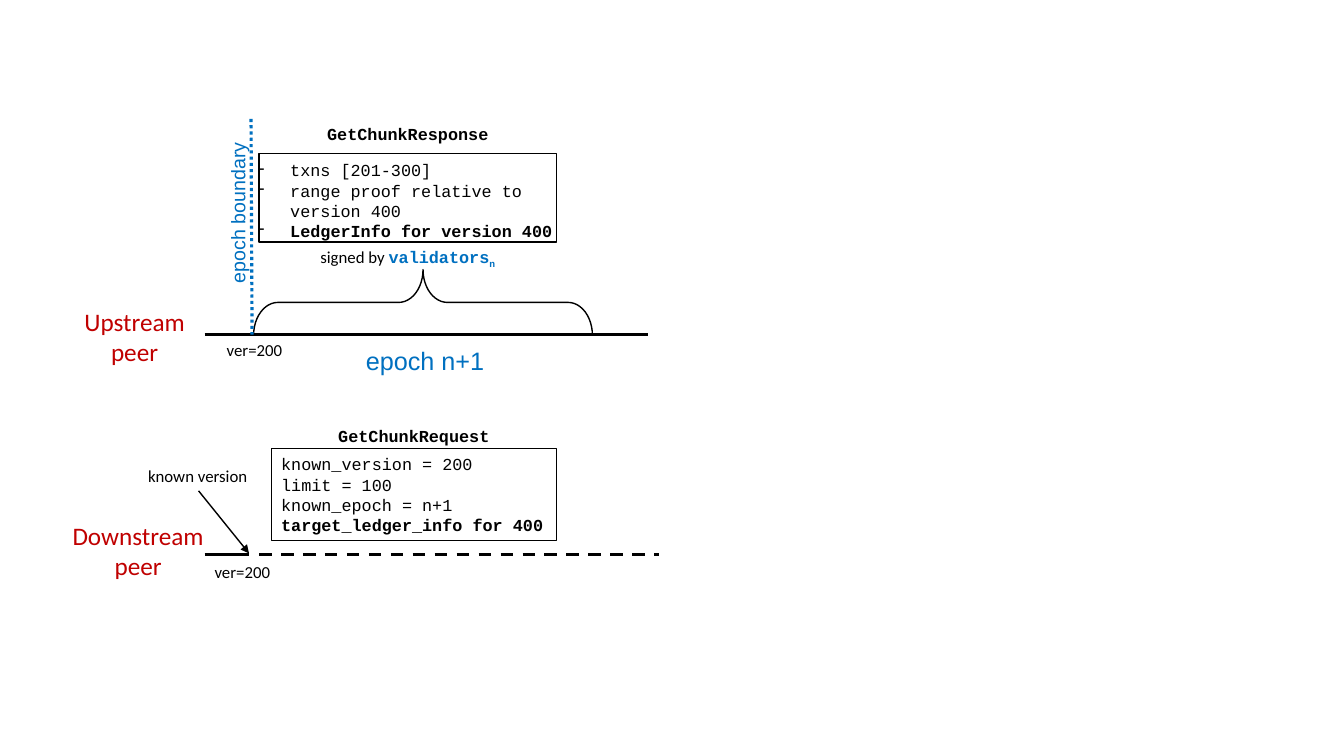
"""Build the slide showing a chunk request and response between two peers."""
from lxml.etree import SubElement
from pptx import Presentation
from pptx.dml.color import RGBColor
from pptx.enum.dml import MSO_LINE
from pptx.enum.shapes import MSO_CONNECTOR, MSO_SHAPE
from pptx.enum.text import MSO_ANCHOR, MSO_AUTO_SIZE, PP_ALIGN
from pptx.oxml.ns import qn
from pptx.util import Inches, Pt

COLORS = {"black": "000000", "blue": "0070C0", "red": "C00000"}
MONO, SANS, ARIAL = "Courier New", "Calibri", "Arial"

prs = Presentation()
prs.slide_width, prs.slide_height = Inches(13.33), Inches(7.5)
s = prs.slides.add_slide(prs.slide_layouts[6])


def write(sp, paragraphs, size=12, align=PP_ALIGN.LEFT, wrap=False):
    tf = sp.text_frame
    tf.word_wrap = wrap
    tf.auto_size = MSO_AUTO_SIZE.SHAPE_TO_FIT_TEXT
    for i, runs in enumerate(paragraphs):
        p = tf.paragraphs[0] if i == 0 else tf.add_paragraph()
        p.alignment = align
        for text, font, color, bold in runs:
            r = p.add_run()
            r.text = text
            r.font.name, r.font.size, r.font.bold = font, Pt(size), bold
            r.font.color.rgb = RGBColor.from_string(COLORS[color])
    return tf


def add_line(x1, y1, x2, y2, color="black", width=2.25, dash=None):
    ln = s.shapes.add_connector(MSO_CONNECTOR.STRAIGHT, Inches(x1), Inches(y1), Inches(x2), Inches(y2))
    ln.line.color.rgb = RGBColor.from_string(COLORS[color])
    ln.line.width = Pt(width)
    if dash:
        ln.line.dash_style = dash
    SubElement(ln._element.spPr, qn("a:effectLst"))
    return ln


outlines = []
for kind, box in [
    (MSO_SHAPE.RECTANGLE, (2.57, 1.52, 2.95, 0.88)),
    (MSO_SHAPE.RECTANGLE, (2.69, 4.45, 2.83, 0.91)),
    (MSO_SHAPE.LEFT_BRACE, (3.87, 1.32, 0.65, 3.36)),
]:
    sp = s.shapes.add_shape(kind, *map(Inches, box))
    sp.shadow.inherit = False
    sp.fill.background()
    sp.line.color.rgb = RGBColor.from_string(COLORS["black"])
    sp.line.width = Pt(1)
    outlines.append(sp)
response, request, brace = outlines
brace.rotation = 90
brace.adjustments[0] = 0.371

fields = ["known_version = 200", "limit = 100", "known_epoch = n+1"]
tf = write(request, [[(t, MONO, "black", False)] for t in fields]
           + [[("target_ledger_info for 400", MONO, "black", True)]], wrap=True)
tf.vertical_anchor = MSO_ANCHOR.MIDDLE

add_line(2.03, 3.32, 6.43, 3.32)
add_line(2.49, 1.18, 2.5, 3.32, "blue", dash=MSO_LINE.ROUND_DOT)
add_line(2.57, 5.5, 6.54, 5.5, dash=MSO_LINE.DASH)
add_line(2.03, 5.5, 2.47, 5.5)
arrow = add_line(1.97, 4.87, 2.47, 5.49, width=1)
SubElement(arrow.line._get_or_add_ln(), qn("a:tailEnd"), type="triangle")

LEFT, CENTER = PP_ALIGN.LEFT, PP_ALIGN.CENTER
for box, lines, font, size, color, bold, align, rotation in [
    ((3.13, 1.18, 1.83, 0.3), ["GetChunkResponse"], MONO, 12, "black", True, CENTER, 0),
    ((3.24, 4.17, 1.73, 0.3), ["GetChunkRequest"], MONO, 12, "black", True, CENTER, 0),
    ((3.53, 3.38, 1.39, 0.4), ["epoch n+1"], ARIAL, 18, "blue", False, LEFT, 0),
    ((1.56, 1.94, 1.6, 0.34), ["epoch boundary"], ARIAL, 14, "blue", False, LEFT, 270),
    ((1.37, 4.57, 1.2, 0.3), ["known version"], SANS, 12, "black", False, LEFT, 0),
    ((2.03, 5.52, 0.76, 0.3), ["ver=200"], SANS, 12, "black", False, LEFT, 0),
    ((2.15, 3.32, 0.76, 0.3), ["ver=200"], SANS, 12, "black", False, LEFT, 0),
    ((0.61, 5.11, 1.52, 0.71), ["Downstream", "peer"], SANS, 18, "red", False, CENTER, 0),
    ((0.73, 2.99, 1.21, 0.71), ["Upstream", "peer"], SANS, 18, "red", False, CENTER, 0),
]:
    sp = s.shapes.add_textbox(*map(Inches, box))
    sp.rotation = rotation
    write(sp, [[(t, font, color, bold)] for t in lines], size, align)

sp = s.shapes.add_textbox(Inches(2.47), Inches(1.54), Inches(3.22), Inches(0.91))
tf = write(sp, [
    [("txns [201-300]", MONO, "black", False)],
    [("range proof relative to version 400", MONO, "black", False)],
    [("LedgerInfo for version 400", MONO, "black", True)],
], wrap=True)
for p in tf.paragraphs:
    pPr = p._p.get_or_add_pPr()
    pPr.set("marL", str(Inches(0.31)))
    pPr.set("indent", str(Inches(-0.31)))
    SubElement(pPr, qn("a:buChar"), char="-")

sp = s.shapes.add_textbox(Inches(3.06), Inches(2.4), Inches(1.97), Inches(0.3))
tf = write(sp, [[
    ("signed by ", SANS, "black", False),
    ("validators", MONO, "blue", True),
    ("n", MONO, "blue", True),
]], align=CENTER)
subscript = tf.paragraphs[0].runs[-1]
subscript.font._element.set("baseline", "-25000")

prs.save("out.pptx")
